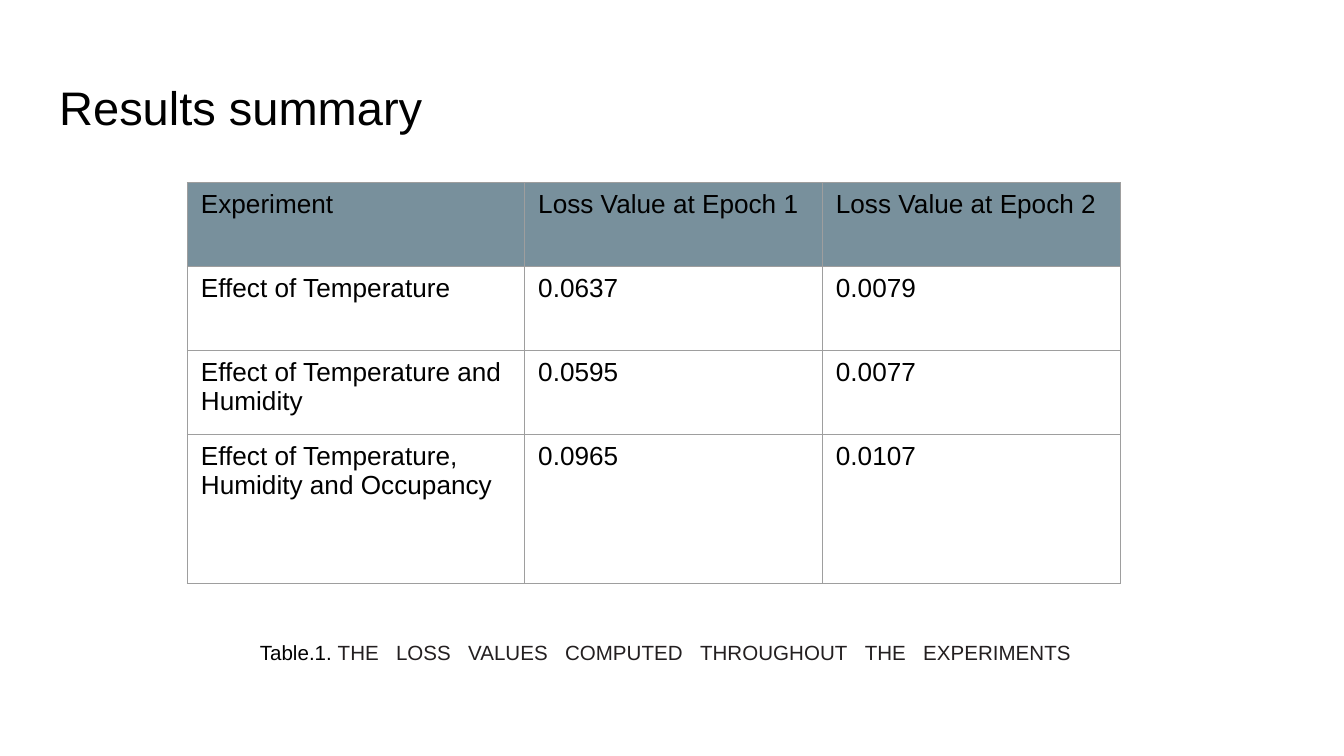
"""Build a slide with a table of loss values per experiment."""
from dataclasses import dataclass

from lxml import etree
from pptx import Presentation
from pptx.dml.color import RGBColor
from pptx.enum import text
from pptx.oxml.ns import qn
from pptx.util import Emu, Pt

PX = 4572
FONT = "Arial"
BLACK = RGBColor(0x00, 0x00, 0x00)
INK = RGBColor(0x23, 0x1F, 0x20)
SLATE = RGBColor(0x78, 0x90, 0x9C)
GREY = RGBColor(0x9E, 0x9E, 0x9E)


@dataclass(frozen=True)
class Box:
    left: int
    top: int
    width: int
    height: int

    def emu(self) -> tuple:
        return tuple(px(v) for v in (self.left, self.top, self.width, self.height))


@dataclass(frozen=True)
class Result:
    experiment: str
    epoch_1: str
    epoch_2: str

    def texts(self) -> tuple:
        return self.experiment, self.epoch_1, self.epoch_2


COLUMNS = (502, 443, 443)
ROWS = (125, 125, 125, 222)
TITLE = Box(68, 97, 1864, 125)
CAPTION = Box(367, 933, 1290, 78)
TABLE = Box(279, 272, sum(COLUMNS), sum(ROWS))
RESULTS = (
    Result("Experiment", "Loss Value at Epoch 1", "Loss Value at Epoch 2"),
    Result("Effect of Temperature", "0.0637", "0.0079"),
    Result("Effect of Temperature and Humidity", "0.0595", "0.0077"),
    Result("Effect of Temperature, Humidity and Occupancy", "0.0965", "0.0107"),
)
CAPTION_WORDS = "THE LOSS VALUES COMPUTED THROUGHOUT THE EXPERIMENTS".split()


def px(n: int) -> Emu:
    return Emu(n * PX)


def style(r, size: float, color: RGBColor = BLACK) -> None:
    r.font.name, r.font.size, r.font.color.rgb = FONT, Pt(size), color


def set_frame(tf) -> None:
    tf.word_wrap = True
    tf.auto_size = text.MSO_AUTO_SIZE.NONE
    tf.vertical_anchor = text.MSO_ANCHOR.TOP
    tf.margin_left = tf.margin_right = tf.margin_top = tf.margin_bottom = px(20)


def draw_title(s, box: Box) -> None:
    sp = s.shapes.title
    sp.left, sp.top, sp.width, sp.height = box.emu()
    tf = sp.text_frame
    tf.text = "Results summary"
    set_frame(tf)
    p = tf.paragraphs[0]
    p.alignment = text.PP_ALIGN.LEFT
    style(p.runs[0], 25.2)


def draw_caption(s, box: Box) -> None:
    tf = s.shapes.add_textbox(*box.emu()).text_frame
    tf.text = "Table.1. "
    set_frame(tf)
    p = tf.paragraphs[0]
    style(p.runs[0], 11)
    for i, word in enumerate(CAPTION_WORDS):
        if i:
            gap = p.add_run()
            gap.text = " "
            style(gap, 11, INK)
            gap.font._element.set("spc", "610")
        r = p.add_run()
        r.text = word
        style(r, 11, INK)


def set_borders(cell) -> None:
    tc_pr = cell._tc.get_or_add_tcPr()
    for side in ("lnL", "lnR", "lnT", "lnB"):
        ln = etree.SubElement(tc_pr, qn(f"a:{side}"), w=str(Pt(0.75)))
        fill = etree.SubElement(ln, qn("a:solidFill"))
        etree.SubElement(fill, qn("a:srgbClr"), val=str(GREY))


def draw_table(s, box: Box) -> None:
    table = s.shapes.add_table(len(ROWS), len(COLUMNS), *box.emu()).table
    table.first_row = table.horz_banding = False
    for column, width in zip(table.columns, COLUMNS):
        column.width = px(width)
    for i, (row, height, result) in enumerate(zip(table.rows, ROWS, RESULTS)):
        row.height = px(height)
        for cell, value in zip(row.cells, result.texts()):
            cell.text_frame.text = value
            style(cell.text_frame.paragraphs[0].runs[0], 14)
            set_borders(cell)
            if i == 0:
                cell.fill.solid()
                cell.fill.fore_color.rgb = SLATE
            else:
                cell.fill.background()


def main() -> None:
    prs = Presentation()
    prs.slide_width, prs.slide_height = px(2000), px(1125)
    s = prs.slides.add_slide(prs.slide_layouts[5])
    draw_title(s, TITLE)
    draw_caption(s, CAPTION)
    draw_table(s, TABLE)
    prs.save("out.pptx")


if __name__ == "__main__":
    main()
